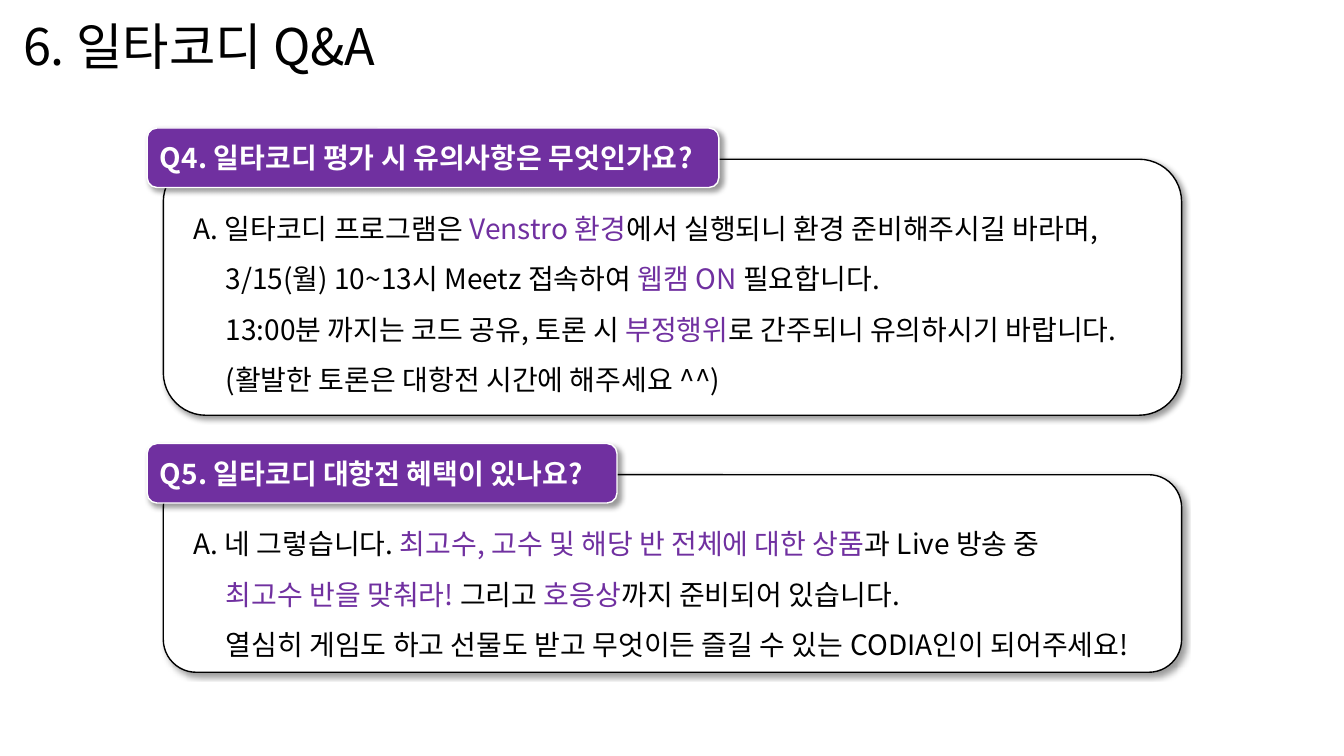
from dataclasses import dataclass

from lxml.etree import SubElement
from pptx import Presentation
from pptx.dml.color import RGBColor
from pptx.enum.shapes import MSO_SHAPE
from pptx.enum.text import MSO_ANCHOR, MSO_AUTO_SIZE, PP_ALIGN
from pptx.oxml.ns import qn
from pptx.shapes.autoshape import Shape
from pptx.shapes.group import GroupShape
from pptx.slide import Slide
from pptx.text.text import TextFrame, _Paragraph
from pptx.util import Inches, Pt

BLACK = RGBColor(0x00, 0x00, 0x00)
WHITE = RGBColor(0xFF, 0xFF, 0xFF)
PURPLE = RGBColor(0x70, 0x30, 0xA0)
FONT = "Noto Sans CJK KR"
TITLE_FORMAT = {"name": FONT, "size": Pt(36)}
QUESTION_FORMAT = {"name": FONT, "size": Pt(20), "bold": True}
ANSWER_FORMAT = {"name": FONT, "size": Pt(20)}
GROWING_FRAME = {"word_wrap": True, "auto_size": MSO_AUTO_SIZE.SHAPE_TO_FIT_TEXT}


@dataclass(frozen=True)
class Part:
    text: str
    color: RGBColor = BLACK


@dataclass(frozen=True)
class QuestionAnswer:
    top: float
    question: str
    question_width: float
    panel_height: float
    answer_height: float
    indent: float
    lines: list[list[Part]]


QUESTIONS = [
    QuestionAnswer(1.27, "Q4. 일타코디 평가 시 유의사항은 무엇인가요?", 5.67, 2.54, 2.12, 0.32, [
        [Part("A. 일타코디 프로그램은 "), Part("Venstro 환경", PURPLE),
         Part("에서 실행되니 환경 준비해주시길 바라며,")],
        [Part("3/15(월) 10~13시 Meetz 접속하여 "), Part("웹캠 ON ", PURPLE),
         Part("필요합니다.")],
        [Part("13:00분 까지는 코드 공유, 토론 시 "), Part("부정행위", PURPLE),
         Part("로 간주되니 유의하시기 바랍니다.")],
        [Part("(활발한 토론은 대항전 시간에 해주세요 ^^)")],
    ]),
    QuestionAnswer(4.4, "Q5. 일타코디 대항전 혜택이 있나요?", 4.66, 1.96, 1.62, 0.32, [
        [Part("A. 네 그렇습니다. "),
         Part("최고수, 고수 및 해당 반 전체에 대한 상품", PURPLE),
         Part("과 Live 방송 중")],
        [Part("최고수 반을 맞춰라! ", PURPLE), Part("그리고 "),
         Part("호응상", PURPLE), Part("까지 준비되어 있습니다.")],
        [Part("열심히 게임도 하고 선물도 받고 무엇이든 즐길 수 있는 CODIA인이 되어주세요!")],
    ]),
]


def apply_format(target: object, values: dict) -> None:
    for name, value in values.items():
        setattr(target, name, value)


def add_part(paragraph: _Paragraph, part: Part, values: dict) -> None:
    run = paragraph.add_run()
    run.text = part.text
    apply_format(run.font, values)
    run.font.color.rgb = part.color
    SubElement(run.font._element, qn("a:ea"), typeface=FONT)


def add_shadow(shape: Shape) -> None:
    shape.shadow.inherit = False
    effects = shape._element.spPr.find(qn("a:effectLst"))
    shadow = SubElement(effects, qn("a:outerShdw"), blurRad=str(Pt(4)),
                        dist=str(Pt(3)), dir="2700000", algn="tl", rotWithShape="0")
    color = SubElement(shadow, qn("a:srgbClr"), val=str(BLACK))
    SubElement(color, qn("a:alpha"), val="40000")


def add_panel(group: GroupShape, left: float, top: float, width: float,
              height: float, fill: RGBColor, line: RGBColor) -> Shape:
    panel = group.shapes.add_shape(MSO_SHAPE.ROUNDED_RECTANGLE, Inches(left),
                                   Inches(top), Inches(width), Inches(height))
    panel.fill.solid()
    panel.fill.fore_color.rgb = fill
    panel.line.color.rgb = line
    panel.line.width = Pt(1)
    add_shadow(panel)
    return panel


def add_answer(frame: TextFrame, lines: list[list[Part]], indent: float) -> None:
    apply_format(frame, GROWING_FRAME)
    for index, parts in enumerate(lines):
        paragraph = frame.add_paragraph() if index else frame.paragraphs[0]
        paragraph.line_spacing = 1.5
        if index:
            paragraph._p.get_or_add_pPr().set("marL", str(Inches(indent)))
        for part in parts:
            add_part(paragraph, part, ANSWER_FORMAT)


def add_question(slide: Slide, item: QuestionAnswer) -> None:
    group = slide.shapes.add_group_shape()
    add_panel(group, 1.62, item.top + 0.31, 10.1, item.panel_height, WHITE, BLACK)
    header = add_panel(group, 1.46, item.top, item.question_width, 0.59, PURPLE, WHITE)
    apply_format(header.text_frame,
                 {"word_wrap": True, "vertical_anchor": MSO_ANCHOR.MIDDLE})
    question = header.text_frame.paragraphs[0]
    question.alignment = PP_ALIGN.LEFT
    add_part(question, Part(item.question, WHITE), QUESTION_FORMAT)
    answer = group.shapes.add_textbox(Inches(1.82), Inches(item.top + 0.61),
                                      Inches(11.36), Inches(item.answer_height))
    add_answer(answer.text_frame, item.lines, item.indent)


def main() -> None:
    presentation = Presentation()
    presentation.slide_width = Inches(13.33)
    presentation.slide_height = Inches(7.5)
    slide = presentation.slides.add_slide(presentation.slide_layouts[6])
    title = slide.shapes.add_textbox(Inches(0.13), Inches(0.1), Inches(12.69), Inches(0.71))
    apply_format(title.text_frame, GROWING_FRAME)
    add_part(title.text_frame.paragraphs[0], Part("6. 일타코디 Q&A"), TITLE_FORMAT)
    for item in QUESTIONS:
        add_question(slide, item)
    presentation.save("out.pptx")


if __name__ == "__main__":
    main()
